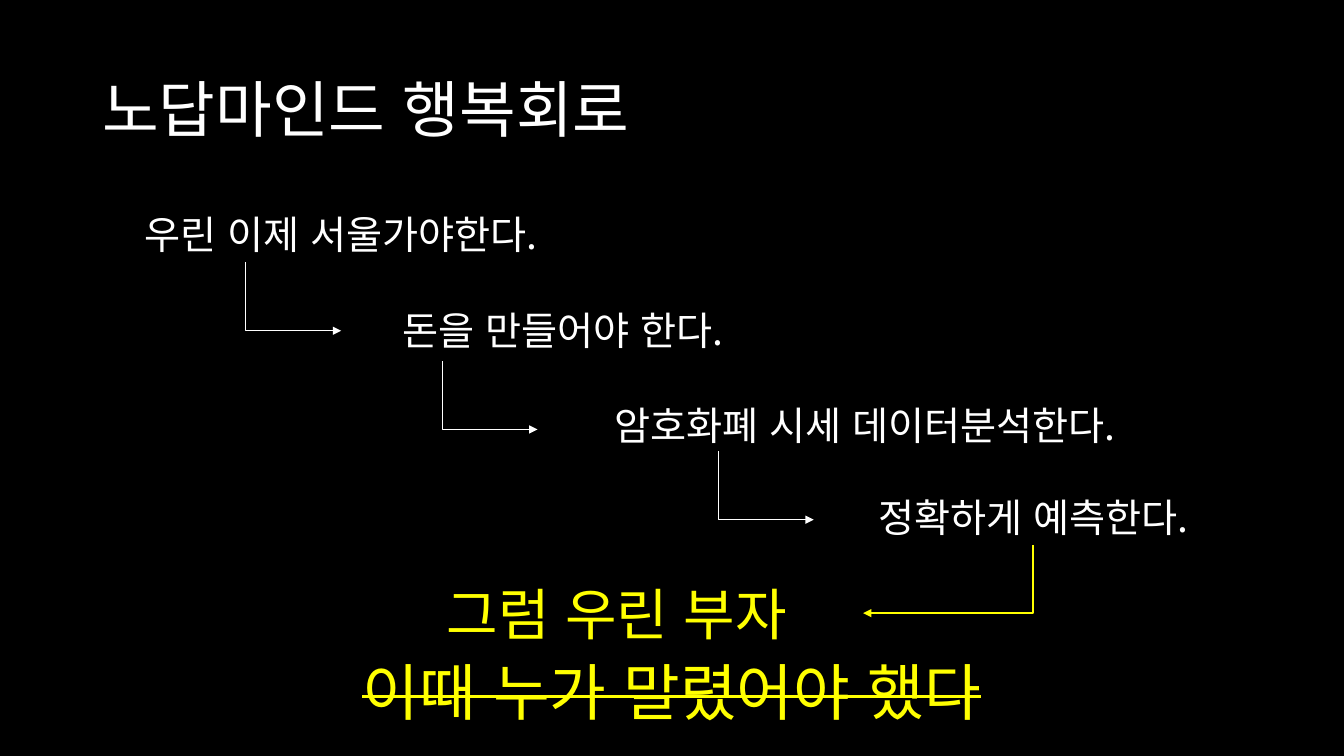
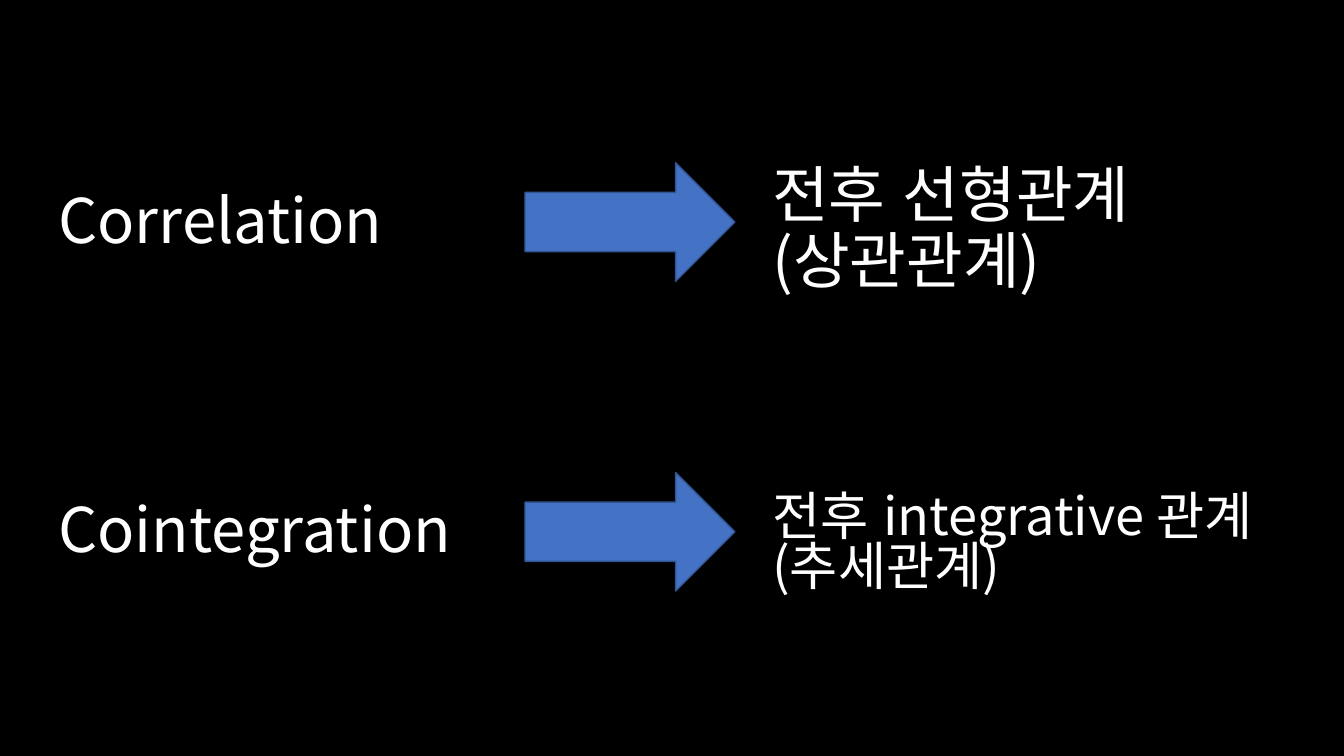
from dataclasses import dataclass

from lxml.etree import SubElement
from pptx import Presentation
from pptx.dml.color import RGBColor
from pptx.enum.lang import MSO_LANGUAGE_ID
from pptx.enum.shapes import MSO_CONNECTOR, MSO_SHAPE
from pptx.enum.text import MSO_ANCHOR, PP_ALIGN
from pptx.oxml.ns import qn
from pptx.util import Pt


@dataclass(frozen=True)
class Theme:
    """Colours, font and type sizes of the deck."""
    back: str = "000000"
    text: str = "FFFFFF"
    accent: str = "FFFF00"
    arrow: str = "4472C4"
    edge: str = "325491"
    font: str = "Noto Sans CJK KR"
    head: float = 44
    result: float = 40
    small: float = 37.4
    step: float = 28


THEME = Theme()
SCALE = 9525


def px(*nums):
    """Turn px lengths into EMU."""
    return [round(num * SCALE) for num in nums]


def rgb(code):
    """Turn a hex code into a colour."""
    return RGBColor.from_string(code)


def add_slide(deck):
    """Add a blank slide with the dark background."""
    slide = deck.slides.add_slide(deck.slide_layouts[6])
    fill = slide.background.fill
    fill.solid()
    fill.fore_color.rgb = rgb(THEME.back)
    return slide


def add_text(slide, box, *lines, size=THEME.head, color=THEME.text,
             align=PP_ALIGN.LEFT, anchor=MSO_ANCHOR.TOP, space=None, strike=False):
    """Add a text box with one paragraph for each line."""
    frame = slide.shapes.add_textbox(*px(*box)).text_frame
    frame.word_wrap = True
    frame.vertical_anchor = anchor
    for num, line in enumerate(lines):
        para = frame.add_paragraph() if num else frame.paragraphs[0]
        para.alignment = align
        para.line_spacing = space
        run = para.add_run()
        run.text = line
        font = run.font
        font.size = Pt(size)
        font.color.rgb = rgb(color)
        font.name = THEME.font
        font.language_id = MSO_LANGUAGE_ID.KOREAN
        props = run._r.get_or_add_rPr()
        SubElement(props, qn("a:ea"), typeface=THEME.font)
        if strike:
            props.set("strike", "sngStrike")


def add_head(slide, box, *lines, size=THEME.head, space=0.9):
    """Add large text centred on the height of its box."""
    add_text(slide, box, *lines, size=size, space=space, anchor=MSO_ANCHOR.MIDDLE)


def add_bend(slide, left, top, wide, high, color=THEME.text, weight=0.5):
    """Add an arrow that runs down, then sideways by a signed width."""
    midx, midy = left + wide / 2, top + high / 2
    side = 1 if wide > 0 else -1
    halfx, halfy = side * high / 2, abs(wide) / 2
    bend = slide.shapes.add_connector(
        MSO_CONNECTOR.ELBOW,
        *px(midx + halfx, midy - halfy, midx - halfx, midy + halfy))
    bend.line.color.rgb = rgb(color)
    bend.line.width = Pt(weight)
    props = bend._element.spPr
    turn = 270 if wide > 0 else 90
    props.find(qn("a:xfrm")).set("rot", str(turn * 60000))
    props.find(qn("a:prstGeom")).set("prst", "bentConnector2")
    SubElement(props.find(qn("a:ln")), qn("a:tailEnd"), type="triangle")
    SubElement(props, qn("a:effectLst"))


def add_arrow(slide, box):
    """Add a block arrow."""
    arrow = slide.shapes.add_shape(MSO_SHAPE.RIGHT_ARROW, *px(*box))
    arrow.shadow.inherit = False
    arrow.fill.solid()
    arrow.fill.fore_color.rgb = rgb(THEME.arrow)
    arrow.line.color.rgb = rgb(THEME.edge)
    arrow.line.width = Pt(1)


def add_row(slide, top, term, wide, drop, lines, **form):
    """Add a term, an arrow and the meaning of the term."""
    add_head(slide, (46, top, wide, 139), term)
    add_arrow(slide, (500, top + 12, 200, 113))
    add_head(slide, (726, top + drop, 530, 139), *lines, **form)


def build_steps(deck):
    """Build the slide with the chain of steps."""
    slide = add_slide(deck)
    add_head(slide, (88, 38, 1104, 139), "노답마인드 행복회로")
    steps = [
        (114, 196, 422, "우린 이제 서울가야한다."),
        (325, 287, 422, "돈을 만들어야 한다."),
        (516, 377, 616, "암호화폐 시세 데이터분석한다."),
        (773, 465, 422, "정확하게 예측한다."),
    ]
    for left, top, wide, line in steps:
        add_text(slide, (left, top, wide, 55), line,
                 size=THEME.step, align=PP_ALIGN.CENTER)
    for left, top in [(234, 250), (421, 344), (684, 430)]:
        add_bend(slide, left, top, 91, 65)
    add_bend(slide, 984, 519, -162, 65, color=THEME.accent, weight=1.5)
    add_text(slide, (353, 547, 469, 74), "그럼 우린 부자", size=THEME.result,
             color=THEME.accent, align=PP_ALIGN.CENTER)
    add_text(slide, (132, 618, 1016, 81), "이때 누가 말렸어야 했다",
             color=THEME.accent, align=PP_ALIGN.CENTER, strike=True)


def build_terms(deck):
    """Build the slide with the two terms."""
    slide = add_slide(deck)
    add_row(slide, 143, "Correlation", 352, 7, ["전후 선형관계", "(상관관계)"])
    add_row(slide, 438, "Cointegration", 400, 12,
            ["전후 integrative 관계", "(추세관계)"], size=THEME.small, space=0.8)


def main():
    """Build and save the deck."""
    deck = Presentation()
    deck.slide_width, deck.slide_height = px(1280, 720)
    build_steps(deck)
    build_terms(deck)
    deck.save("out.pptx")


if __name__ == "__main__":
    main()
